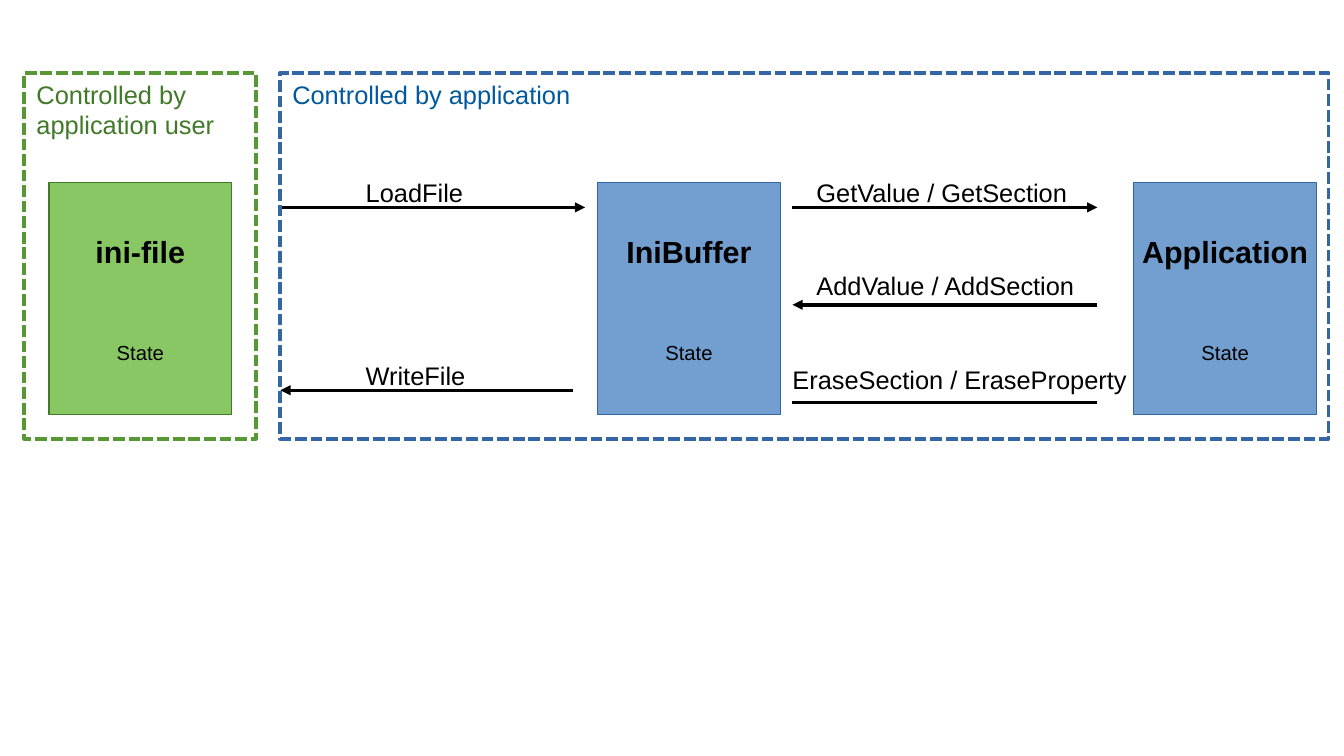
from lxml.etree import SubElement
from pptx import Presentation
from pptx.dml.color import RGBColor
from pptx.enum.dml import MSO_LINE
from pptx.enum.shapes import MSO_CONNECTOR, MSO_SHAPE
from pptx.enum.text import MSO_ANCHOR, PP_ALIGN
from pptx.oxml.ns import qn
from pptx.util import Cm, Pt


def color(target, code):
    """Give a fill or a font a solid colour."""
    if hasattr(target, "solid"):
        target.solid()
        target.fore_color.rgb = RGBColor.from_string(code)
    else:
        target.color.rgb = RGBColor.from_string(code)


def style(par, size, code, bold=False):
    par.font.name = "Arial"
    par.font.size = Pt(size)
    par.font.bold = bold
    color(par.font, code)


deck = Presentation()
deck.slide_width, deck.slide_height = Cm(28), Cm(15.75)
shapes = deck.slides.add_slide(deck.slide_layouts[6]).shapes

# State holders
for left, name, fill, edge in [
    (1.02, "ini-file", "89C765", "407927"),
    (12.45, "IniBuffer", "729FCF", "3465A4"),
    (23.62, "Application", "729FCF", "3465A4"),
]:
    box = shapes.add_shape(MSO_SHAPE.RECTANGLE, Cm(left), Cm(3.81), Cm(3.81), Cm(4.83))
    box.shadow.inherit = False
    color(box.fill, fill)
    color(box.line.fill, edge)
    box.line.width = Pt(0)
    frame = box.text_frame
    frame.word_wrap = False
    frame.vertical_anchor = MSO_ANCHOR.MIDDLE
    title, state = frame.paragraphs[0], frame.add_paragraph()
    title.text, state.text = name, "State"
    style(title, 18, "000000", bold=True)
    style(state, 12, "000000")
    state.space_before = Pt(42)
    title.alignment = state.alignment = PP_ALIGN.CENTER

# Calls between them
for start, end, top, head in [
    (5.84, 12.19, 4.32, True),
    (11.94, 5.84, 8.13, True),
    (16.51, 22.86, 4.32, True),
    (22.86, 16.51, 6.35, True),
    (22.86, 16.51, 8.38, False),
]:
    call = shapes.add_connector(
        MSO_CONNECTOR.STRAIGHT, Cm(start), Cm(top), Cm(end), Cm(top))
    color(call.line.fill, "000000")
    call.line.width = Pt(0)
    if head:
        SubElement(call.line._get_or_add_ln(), qn("a:tailEnd"), type="triangle")
    SubElement(call._element.spPr, qn("a:effectLst"))

# Dashed zones
for left, width, edge in [(5.84, 21.84, "3465A4"), (0.51, 4.83, "579835")]:
    zone = shapes.add_shape(MSO_SHAPE.RECTANGLE, Cm(left), Cm(1.52), Cm(width), Cm(7.62))
    zone.shadow.inherit = False
    zone.fill.background()
    color(zone.line.fill, edge)
    zone.line.width = Pt(2.3)
    zone.line.dash_style = MSO_LINE.SQUARE_DOT

# Labels
for left, top, width, height, text, code in [
    (7.37, 3.56, 3.56, 1.02, "LoadFile", "000000"),
    (7.37, 7.37, 3.56, 1.02, "WriteFile", "000000"),
    (16.76, 3.56, 6.1, 0.84, "GetValue / GetSection", "000000"),
    (16.76, 5.51, 6.1, 0.84, "AddValue / AddSection", "000000"),
    (16.26, 7.47, 7.62, 1.42, "EraseSection / EraseProperty", "000000"),
    (5.84, 1.52, 7.62, 1.27, "Controlled by application", "00599D"),
    (0.51, 1.52, 5.84, 1.68, "Controlled by application user", "407927"),
]:
    label = shapes.add_textbox(Cm(left), Cm(top), Cm(width), Cm(height))
    label.text_frame.word_wrap = True
    label.text_frame.text = text
    style(label.text_frame.paragraphs[0], 15, code)

deck.save("out.pptx")
